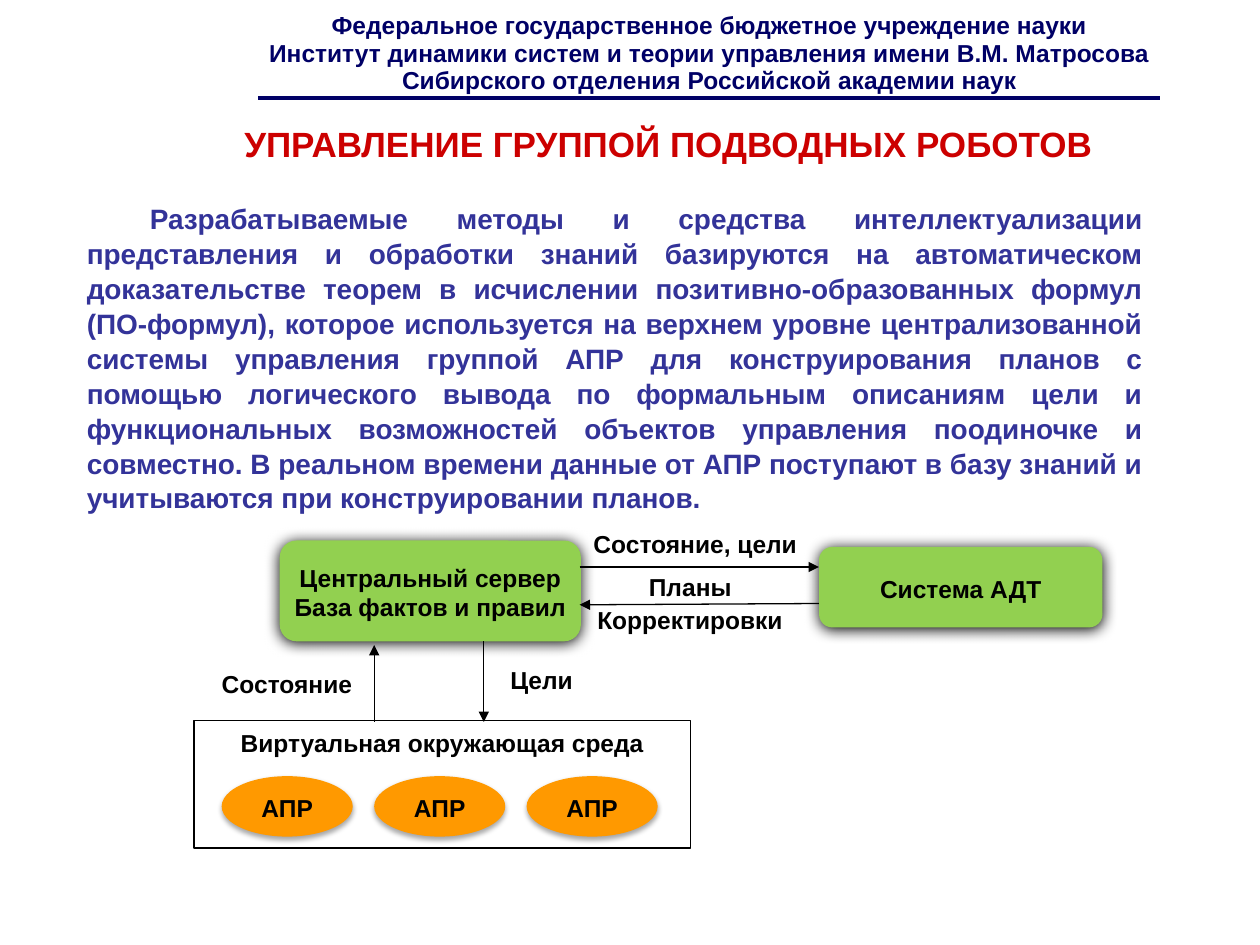
from dataclasses import dataclass
from typing import Optional

from lxml import etree
from pptx import Presentation
from pptx.dml.color import RGBColor
from pptx.enum.shapes import MSO_CONNECTOR, MSO_SHAPE
from pptx.enum.text import MSO_ANCHOR, PP_ALIGN
from pptx.oxml.ns import qn
from pptx.util import Inches, Pt

RECT, ROUND, OVAL = MSO_SHAPE.RECTANGLE, MSO_SHAPE.ROUNDED_RECTANGLE, MSO_SHAPE.OVAL
LINE = MSO_CONNECTOR.STRAIGHT
TOP, MIDDLE = MSO_ANCHOR.TOP, MSO_ANCHOR.MIDDLE
LEFT, CENTER, JUSTIFY = PP_ALIGN.LEFT, PP_ALIGN.CENTER, PP_ALIGN.JUSTIFY


@dataclass(frozen=True)
class Theme:
    font: str = "Arial"
    navy: str = "000066"
    red: str = "CC0000"
    blue: str = "333399"
    black: str = "000000"
    white: str = "FFFFFF"
    green: str = "92D050"
    orange: str = "FF9900"
    small: float = 14
    body: float = 16
    title: float = 20
    thin: float = 0.75
    thick: float = 2.25


THEME = Theme()


@dataclass(frozen=True)
class Shade:
    alpha: int  # percent
    blur: float  # points
    drop: float  # points


@dataclass(frozen=True)
class Style:
    size: float = THEME.small
    color: str = THEME.black
    align: PP_ALIGN = LEFT
    anchor: MSO_ANCHOR = TOP
    inset: tuple = (0.09, 0.06, 0.09, 0.04)
    space: float = 1.0
    indent: float = 0
    wrap: bool = False


@dataclass(frozen=True)
class Block:
    lines: tuple
    left: float
    top: float
    width: float
    height: float
    style: Style = Style()


@dataclass(frozen=True)
class Node:
    block: Block
    kind: MSO_SHAPE
    fill: str
    edge: Optional[str] = None
    shade: Optional[Shade] = None


@dataclass(frozen=True)
class Link:
    x1: float
    y1: float
    x2: float
    y2: float
    color: str = THEME.black
    width: float = THEME.thin
    arrow: bool = True


def rgb(code: str) -> RGBColor:
    return RGBColor.from_string(code)


def write(shape, block: Block) -> None:
    style, frame = block.style, shape.text_frame
    frame.word_wrap = style.wrap
    frame.vertical_anchor = style.anchor
    (frame.margin_left, frame.margin_top,
     frame.margin_right, frame.margin_bottom) = map(Inches, style.inset)
    for i, line in enumerate(block.lines):
        para = frame.add_paragraph() if i else frame.paragraphs[0]
        para.alignment = style.align
        para.line_spacing = style.space
        if style.indent:
            para._p.get_or_add_pPr().set("indent", str(Inches(style.indent)))
        run = para.add_run()
        run.text = line
        run.font.name = THEME.font
        run.font.size = Pt(style.size)
        run.font.bold = True
        run.font.color.rgb = rgb(style.color)


def place(block: Block) -> list:
    return [Inches(n) for n in (block.left, block.top, block.width, block.height)]


def add_text(slide, block: Block) -> None:
    write(slide.shapes.add_textbox(*place(block)), block)


def add_shade(shape, shade: Shade) -> None:
    effects = shape._element.spPr.find(qn("a:effectLst"))
    outer = etree.SubElement(
        effects, qn("a:outerShdw"), blurRad=str(Pt(shade.blur)),
        dist=str(Pt(shade.drop)), dir="5400000", rotWithShape="0")
    color = etree.SubElement(outer, qn("a:srgbClr"), val=THEME.black)
    etree.SubElement(color, qn("a:alpha"), val=str(shade.alpha * 1000))


def add_node(slide, node: Node) -> None:
    shape = slide.shapes.add_shape(node.kind, *place(node.block))
    shape.shadow.inherit = False
    shape.fill.solid()
    shape.fill.fore_color.rgb = rgb(node.fill)
    if node.edge:
        shape.line.color.rgb = rgb(node.edge)
        shape.line.width = Pt(THEME.thin)
    else:
        shape.line.fill.background()
    if node.shade:
        add_shade(shape, node.shade)
    write(shape, node.block)


def add_link(slide, link: Link) -> None:
    ends = [Inches(n) for n in (link.x1, link.y1, link.x2, link.y2)]
    line = slide.shapes.add_connector(LINE, *ends)
    line.line.color.rgb = rgb(link.color)
    line.line.width = Pt(link.width)
    if link.arrow:
        etree.SubElement(line.line._get_or_add_ln(), qn("a:tailEnd"), type="triangle")
    etree.SubElement(line._element.spPr, qn("a:effectLst"))


HEAD = Style(color=THEME.navy, align=CENTER, inset=(0.1, 0.08, 0.1, 0), space=0.94, wrap=True)
TITLE = Style(THEME.title, THEME.red, inset=(0.1, 0.05, 0.1, 0.05))
BODY = Style(THEME.body, THEME.blue, JUSTIFY, inset=(0.1, 0.05, 0.1, 0.05),
             space=1.04, indent=0.5, wrap=True)
INNER = Style(align=CENTER, anchor=MIDDLE)
GLOW, SOFT = Shade(100, 8.5, 1), Shade(35, 3.1, 1.8)

# Heading, title and main paragraph
TEXTS = (
    Block(("Федеральное государственное бюджетное учреждение науки",
           "Институт динамики систем и теории управления имени В.М. Матросова",
           "Сибирского отделения Российской академии наук"), 1.24, 0.02, 8.78, 0.92, HEAD),
    Block(("УПРАВЛЕНИЕ ГРУППОЙ ПОДВОДНЫХ РОБОТОВ",), 1.84, 0.92, 6.99, 0.44, TITLE),
    Block(("Разрабатываемые методы и средства интеллектуализации представления и "
           "обработки знаний базируются на автоматическом доказательстве теорем в "
           "исчислении позитивно-образованных формул (ПО-формул), которое используется "
           "на верхнем уровне централизованной системы управления группой АПР для "
           "конструирования планов с помощью логического вывода по формальным описаниям "
           "цели и функциональных возможностей объектов управления поодиночке и "
           "совместно. В реальном времени данные от АПР поступают в базу знаний и "
           "учитываются при конструировании планов.",), 0.59, 1.54, 8.58, 2.45, BODY),
)

# Diagram parts
NODES = (
    Node(Block(("Виртуальная окружающая среда",), 1.54, 5.72, 3.94, 1.01,
               Style(align=CENTER)), RECT, THEME.white, THEME.black),
    Node(Block(("Система АДТ",), 6.5, 4.34, 2.25, 0.64, INNER),
         ROUND, THEME.green, shade=GLOW),
    Node(Block(("Центральный сервер", "База фактов и правил"), 2.22, 4.29, 2.39, 0.8, INNER),
         ROUND, THEME.green, shade=GLOW),
    *(Node(Block(("АПР",), 1.76 + 1.21 * i, 6.16, 1.04, 0.48, INNER),
           OVAL, THEME.orange, shade=SOFT) for i in range(3)),
)
RULE = Link(2.05, 0.78, 9.21, 0.78, THEME.navy, THEME.thick, False)
LINKS = (
    RULE,
    Link(2.97, 5.73, 2.97, 5.12),
    Link(3.84, 5.09, 3.84, 5.73),
    Link(4.6, 4.5, 6.5, 4.5),
    Link(6.5, 4.79, 4.6, 4.8),
)
LABELS = (
    Block(("Состояние",), 1.67, 5.25, 1.33, 0.31),
    Block(("Цели",), 3.96, 5.22, 0.7, 0.31),
    Block(("Состояние, цели",), 4.62, 4.14, 1.88, 0.31),
    Block(("Планы",), 5.06, 4.48, 0.85, 0.33),
    Block(("Корректировки",), 4.65, 4.74, 1.69, 0.31),
)


def main() -> None:
    deck = Presentation()
    deck.slide_width, deck.slide_height = Inches(10), Inches(7.5)
    slide = deck.slides.add_slide(deck.slide_layouts[6])
    for node in NODES:
        add_node(slide, node)
    for link in LINKS:
        add_link(slide, link)
    for block in TEXTS + LABELS:
        add_text(slide, block)
    deck.save("out.pptx")


if __name__ == "__main__":
    main()
